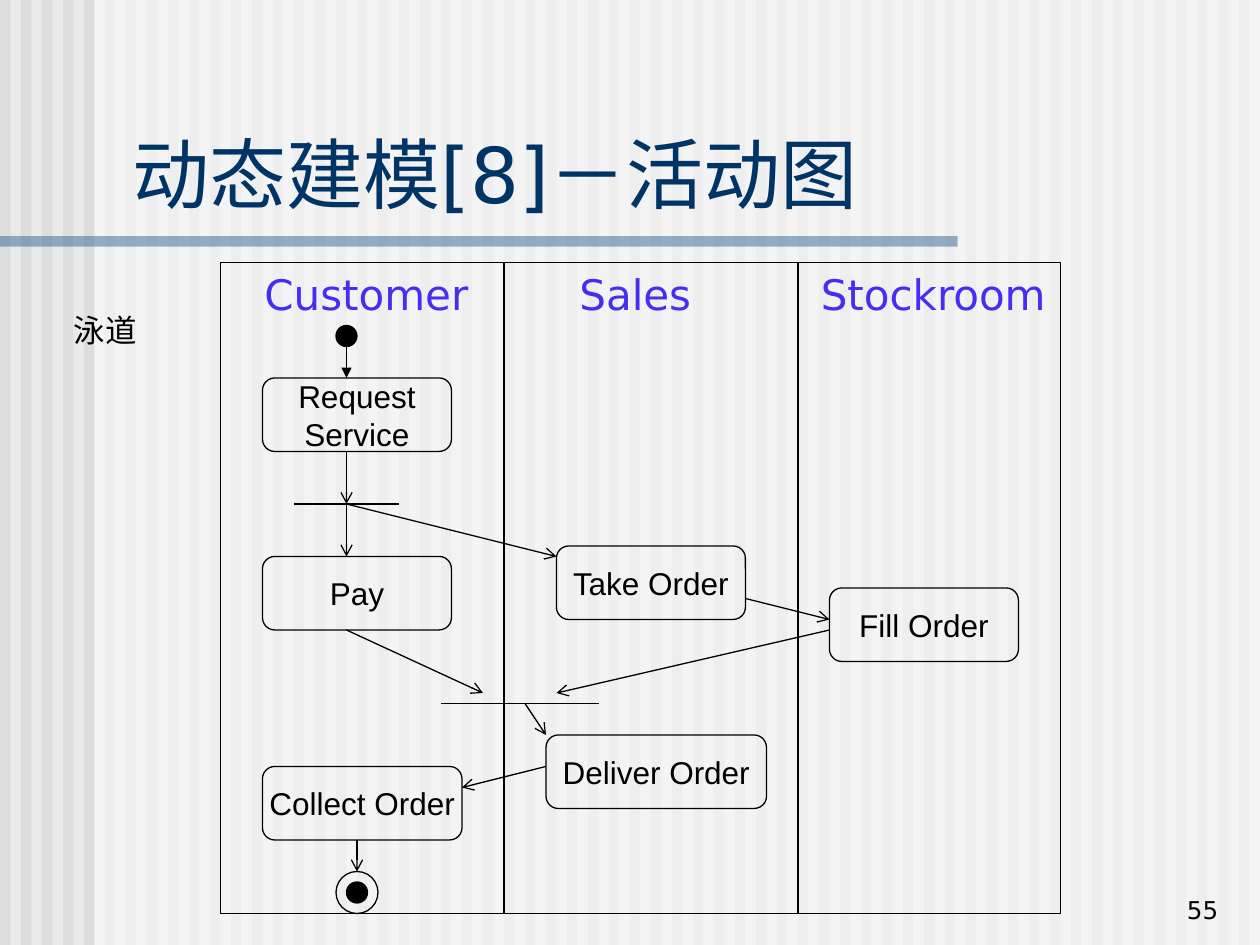
"""Build a swimlane activity diagram on a 120 by 90 grid of a striped slide."""
from dataclasses import dataclass

from lxml.etree import SubElement
from pptx import Presentation
from pptx.dml.color import RGBColor
from pptx.enum.shapes import MSO_CONNECTOR, MSO_SHAPE
from pptx.enum.text import MSO_ANCHOR, PP_ALIGN
from pptx.oxml.ns import qn
from pptx.util import Inches, Pt


@dataclass(frozen=True)
class Theme:
    background: str = "EAEAEA"
    stripe: str = "DDDDDD"
    veil: str = "FFFFFF"
    band: str = "336699"
    title: str = "003366"
    lane: str = "452DF5"
    ink: str = "000000"
    display_font: str = "DejaVu Sans"
    body_font: str = "Arial"
    title_size: int = 44
    lane_size: int = 24
    body_size: int = 18
    number_size: int = 14
    line_width: float = 0.75


THEME = Theme()
COLUMNS, ROWS = 120, 90
TITLE = ("动态建模[8]－活动图", (11.4, 11.3, 107.2, 10.1))
SIDE_LABEL = ("泳道", (5, 29, 10, 4.8))
PAGE_NUMBER = ("55", (92.2, 82.6, 25, 6))
FRAME = (21, 25, 80, 62)
LANE_EDGES = (48, 76)
LANES = [("Customer", 24, 22), ("Sales", 54, 20), ("Stockroom", 77, 25)]
LANE_HEADER_HEIGHT = 6
ACTIVITY_HEIGHT = 7
ACTIVITIES = [
    ("Request\nService", 25, 36, 18),
    ("Pay", 25, 53, 18),
    ("Take Order", 53, 52, 18),
    ("Fill Order", 79, 56, 18),
    ("Deliver Order", 52, 70, 21),
    ("Collect Order", 25, 73, 19),
]
START = (32, 31, 2, 2)
END_RING = (32, 83, 4, 4)
END_DOT = (33, 84, 2, 2)
SYNC_BARS = [(28, 48, 38, 48), (42, 67, 57, 67)]
START_FLOW = (33, 33, 33, 36)
FLOWS = [
    (33, 43, 33, 48),
    (33, 48, 33, 53),
    (33, 48, 53, 53),
    (71, 57, 79, 59),
    (33, 60, 46, 66),
    (79, 60, 53, 66),
    (50, 67, 52, 70),
    (52, 73, 44, 75),
    (34, 80, 34, 83),
]

deck = Presentation()
deck.slide_width, deck.slide_height = Inches(10), Inches(7.5)
slide = deck.slides.add_slide(deck.slide_layouts[6])
slide.background.fill.solid()
slide.background.fill.fore_color.rgb = RGBColor.from_string(THEME.background)


def grid(cells):
    cell = deck.slide_width / COLUMNS
    return [round(value * cell) for value in cells]


def add_figure(kind, cells, fill=None, outline=None, alpha=None):
    figure = slide.shapes.add_shape(kind, *grid(cells))
    figure.shadow.inherit = False
    if fill:
        figure.fill.solid()
        figure.fill.fore_color.rgb = RGBColor.from_string(fill)
        if alpha:
            color = figure.fill._xPr.find(qn("a:solidFill"))[0]
            SubElement(color, qn("a:alpha"), val=str(alpha * 1000))
    else:
        figure.fill.background()
    if outline:
        figure.line.color.rgb = RGBColor.from_string(outline)
        figure.line.width = Pt(THEME.line_width)
    else:
        figure.line.fill.background()
    return figure


def add_line(ends, arrow=None):
    line = slide.shapes.add_connector(MSO_CONNECTOR.STRAIGHT, *grid(ends))
    line.line.color.rgb = RGBColor.from_string(THEME.ink)
    line.line.width = Pt(THEME.line_width)
    if arrow:
        SubElement(line.line._get_or_add_ln(), qn("a:tailEnd"), type=arrow)
    SubElement(line._element.spPr, qn("a:effectLst"))


def write(text, cells=None, holder=None, size=THEME.body_size, font=THEME.body_font,
          color=THEME.ink, align=PP_ALIGN.LEFT, anchor=MSO_ANCHOR.TOP, wrap=True):
    holder = holder or slide.shapes.add_textbox(*grid(cells))
    frame = holder.text_frame
    frame.word_wrap = wrap
    frame.vertical_anchor = anchor
    frame.text = text
    for paragraph in frame.paragraphs:
        paragraph.alignment = align
        paragraph.font.size = Pt(size)
        paragraph.font.name = font
        paragraph.font.color.rgb = RGBColor.from_string(color)


for column in range(0, COLUMNS, 2):
    add_figure(MSO_SHAPE.RECTANGLE, (column, 0, 1, ROWS), fill=THEME.stripe)
add_figure(MSO_SHAPE.RECTANGLE, (9, 0, COLUMNS - 9, ROWS), fill=THEME.veil, alpha=50)
add_figure(MSO_SHAPE.RECTANGLE, (0, 22.5, 91.2, 1), fill=THEME.band, alpha=50)
write(*TITLE, size=THEME.title_size, font=THEME.display_font, color=THEME.title,
      anchor=MSO_ANCHOR.BOTTOM)

left, top, width, height = FRAME
add_figure(MSO_SHAPE.RECTANGLE, FRAME, outline=THEME.ink)
for edge in LANE_EDGES:
    add_line((edge, top, edge, top + height))
for lane, lane_left, lane_width in LANES:
    write(lane, (lane_left, top, lane_width, LANE_HEADER_HEIGHT), size=THEME.lane_size,
          font=THEME.display_font, color=THEME.lane)

for activity, column, row, span in ACTIVITIES:
    box = add_figure(MSO_SHAPE.ROUNDED_RECTANGLE, (column, row, span, ACTIVITY_HEIGHT),
                     outline=THEME.ink)
    write(activity, holder=box, align=PP_ALIGN.CENTER, anchor=MSO_ANCHOR.MIDDLE, wrap=False)

add_figure(MSO_SHAPE.OVAL, END_RING, outline=THEME.ink)
for dot in (START, END_DOT):
    add_figure(MSO_SHAPE.OVAL, dot, fill=THEME.ink, outline=THEME.ink)
for bar in SYNC_BARS:
    add_line(bar)
add_line(START_FLOW, arrow="triangle")
for flow in FLOWS:
    add_line(flow, arrow="arrow")

write(*SIDE_LABEL, align=PP_ALIGN.CENTER)
write(*PAGE_NUMBER, size=THEME.number_size, font=THEME.display_font,
      align=PP_ALIGN.RIGHT, anchor=MSO_ANCHOR.BOTTOM)
deck.save("out.pptx")
